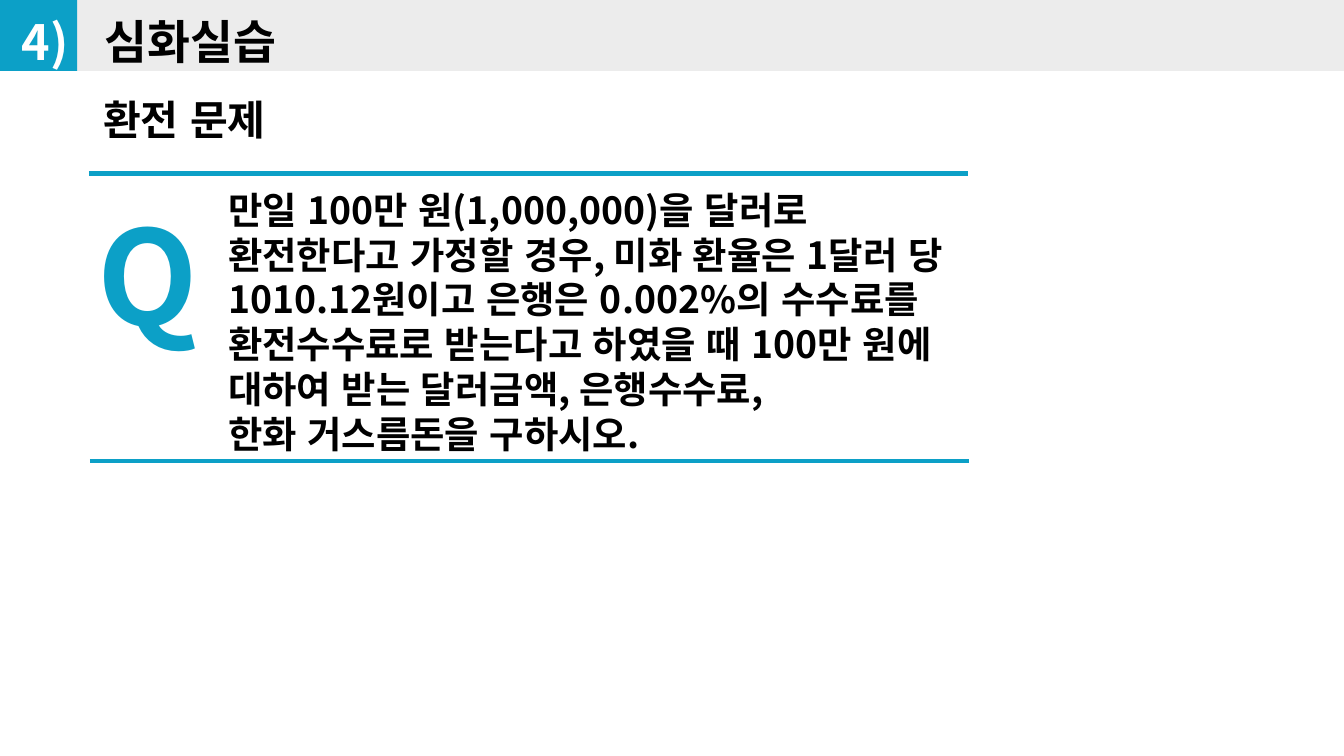
"""Build the currency exchange exercise slide."""
from lxml import etree
from pptx import Presentation
from pptx import util as u
from pptx.dml.color import RGBColor
from pptx.enum import lang, shapes, text
from pptx.oxml.ns import qn

FONT = "Noto Sans CJK KR"
BLUE = RGBColor(0x0C, 0xA0, 0xC7)
GRAY = RGBColor(0xEC, 0xEC, 0xEC)
BLACK = RGBColor(0, 0, 0)
WHITE = RGBColor(255, 255, 255)


def write(shape, content, size, color=BLACK, align=text.PP_ALIGN.LEFT):
    frame = shape.text_frame
    frame.word_wrap = True
    frame.auto_size = text.MSO_AUTO_SIZE.NONE
    frame.vertical_anchor = text.MSO_ANCHOR.TOP
    frame.margin_left = u.Cm(0.35)
    frame.margin_right = u.Cm(0.25)
    frame.margin_top = u.Cm(0.18) + u.Pt(0.08 * size)
    frame.margin_bottom = u.Cm(0)
    frame.text = content
    paragraph = frame.paragraphs[0]
    paragraph.alignment = align
    paragraph.line_spacing = u.Pt(1.2 * size)
    for run in paragraph.runs:
        font = run.font
        font.name, font.size, font.bold = FONT, u.Pt(size), True
        font.color.rgb = color
        font.language_id = lang.MSO_LANGUAGE_ID.KOREAN
        latin = run._r.rPr.find(qn("a:latin"))
        east_asian = etree.Element(qn("a:ea"), typeface=FONT)
        latin.addnext(east_asian)


presentation = Presentation()
presentation.slide_width = u.Cm(25.4)
presentation.slide_height = u.Cm(14.29)
slide = presentation.slides.add_slide(presentation.slide_layouts[5])

for left, width, color in ((1.45, 23.95, GRAY), (-0.03, 1.49, BLUE)):
    bar = slide.shapes.add_shape(
        shapes.MSO_SHAPE.RECTANGLE, u.Cm(left), u.Cm(-0.03), u.Cm(width), u.Cm(1.37))
    bar.shadow.inherit = False
    bar.fill.solid()
    bar.fill.fore_color.rgb = color
    bar.line.fill.background()

title = slide.shapes.title
title.left, title.top, title.width, title.height = u.Cm(1.63), u.Cm(0), u.Cm(22.66), u.Cm(1.42)
bar.element.addnext(title.element)
write(title, "심화실습", size=25)

for left, top in ((1.7, 8.71), (1.68, 3.28)):
    rule = slide.shapes.add_connector(
        shapes.MSO_CONNECTOR.STRAIGHT, u.Cm(left), u.Cm(top), u.Cm(left + 16.62), u.Cm(top))
    rule.line.color.rgb = BLUE
    rule.line.width = u.Pt(2.25)
    etree.SubElement(rule.element.spPr, qn("a:effectLst"))

QUESTION = (
    "만일 100만 원(1,000,000)을 달러로 환전한다고 가정할 경우, 미화 환율은 1달러 당 "
    "1010.12원이고 은행은 0.002%의 수수료를 환전수수료로 받는다고 하였을 때 "
    "100만 원에 대하여 받는 달러금액, 은행수수료, \v한화 거스름돈을 구하시오."
)
for content, left, top, width, height, style in (
    ("4)", -0.03, -0.03, 1.68, 1.47,
     {"size": 26, "color": WHITE, "align": text.PP_ALIGN.CENTER}),
    ("환전 문제", 1.6, 1.55, 16.69, 1.3, {"size": 22}),
    (QUESTION, 3.96, 3.3, 14.91, 5.49, {"size": 20}),
    ("Q", 1.5, 3.3, 3, 3.35, {"size": 70, "color": BLUE}),
):
    box = slide.shapes.add_textbox(u.Cm(left), u.Cm(top), u.Cm(width), u.Cm(height))
    write(box, content, **style)

presentation.save("out.pptx")
